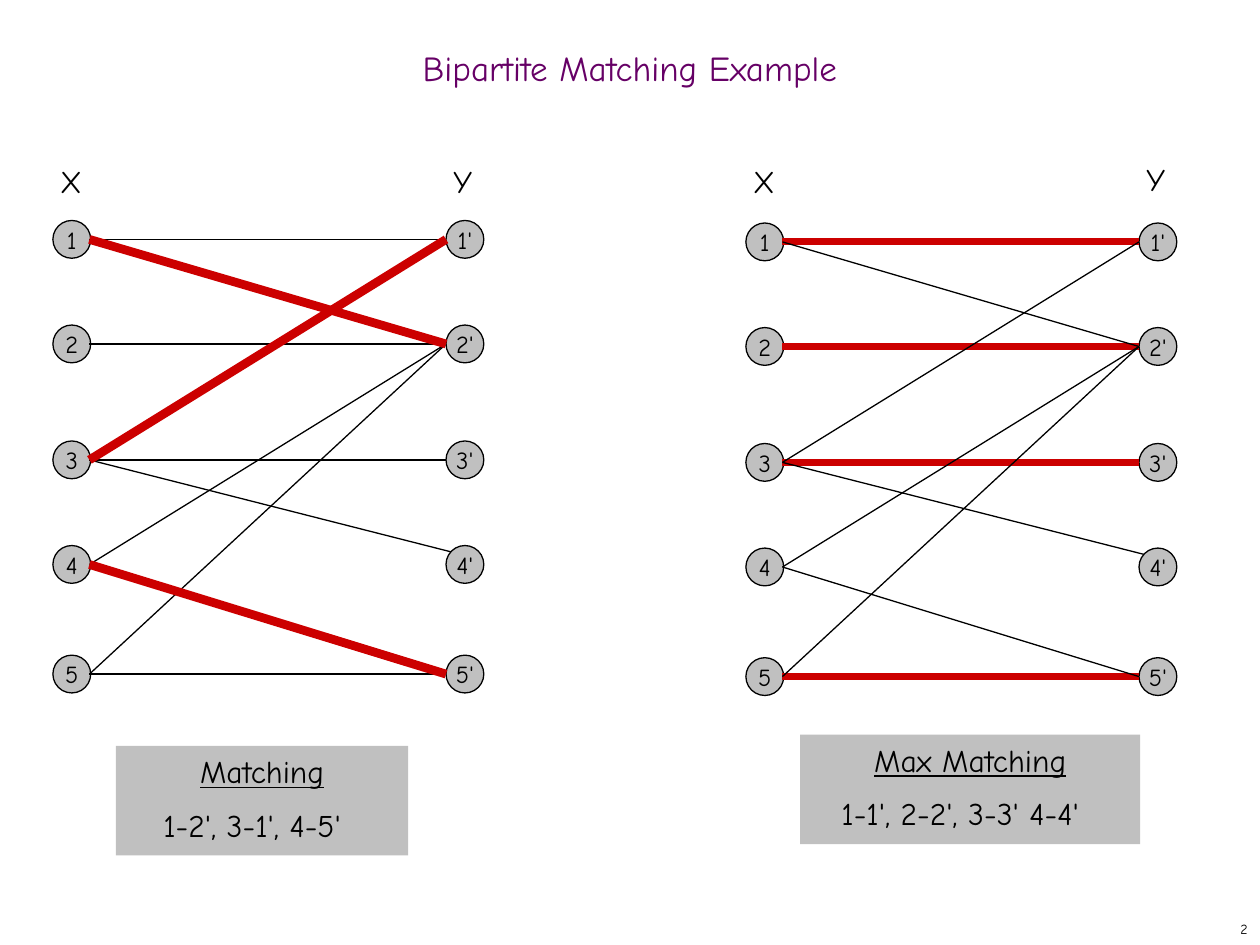
import pptx
import pptx.util
import pptx.dml.color
import pptx.enum.shapes
import pptx.enum.text
from lxml import etree

Inches, Pt = pptx.util.Inches, pptx.util.Pt
Align = pptx.enum.text.PP_ALIGN
Anchor = pptx.enum.text.MSO_ANCHOR
Kind = pptx.enum.shapes.MSO_SHAPE
NS = "{http://schemas.openxmlformats.org/drawingml/2006/main}"
BLACK, GRAY, RED, PURPLE = "000000", "C0C0C0", "CC0000", "660066"


def tint(code):
    return pptx.dml.color.RGBColor.from_string(code)


def write(shape, lines, size, color=BLACK, align=Align.CENTER, gap=False):
    frame = shape.text_frame
    frame.text = "\n".join(lines)
    frame.word_wrap = gap
    for para in frame.paragraphs:
        para.alignment = align
        font = para.runs[0].font
        font.name, font.size = "Comic Neue", Pt(size)
        font.color.rgb = tint(color)
        if gap:  # half a line of space above
            space = etree.SubElement(para._p.get_or_add_pPr(), NS + "spcBef")
            etree.SubElement(space, NS + "spcPct", val="50000")
    return frame


deck = pptx.Presentation()
deck.slide_width, deck.slide_height = Inches(10), Inches(7.5)
slide = deck.slides.add_slide(deck.slide_layouts[6])

# Title and page number
box = slide.shapes.add_textbox(Inches(0), Inches(0.33), Inches(10), Inches(0.5))
frame = write(box, ["Bipartite Matching Example"], 20, PURPLE)
frame.word_wrap = True
frame.vertical_anchor = Anchor.MIDDLE
frame.paragraphs[0].line_spacing = 0.7
box = slide.shapes.add_textbox(Inches(7.92), Inches(7.25), Inches(2.08), Inches(0.25))
write(box, ["2"], 8, align=Align.RIGHT).vertical_anchor = Anchor.MIDDLE

# Both graphs share their rows and edges
rows = [0, 0.83, 1.75, 2.58, 3.45]
edges = [(1, 1), (1, 2), (2, 2), (3, 1), (3, 3), (3, 4),
         (4, 2), (4, 5), (5, 2), (5, 5)]
node, span = 0.3, 3.12

# left, top, matched edges, their width, matched on top, top of Y label
graphs = [
    (0.42, 1.75, [(1, 2), (4, 5), (3, 1)], 5, True, 1.24),
    (5.92, 1.77, [(1, 1), (2, 2), (3, 3), (5, 5)], 4, False, 1.22),
]
for left, top, match, width, front, high in graphs:
    group = slide.shapes.add_group_shape().shapes

    # Nodes
    for col, mark in enumerate(["", "'"]):
        for num, row in enumerate(rows, 1):
            dot = group.add_shape(Kind.OVAL, Inches(left + col * span),
                                  Inches(top + row), Inches(node), Inches(node))
            dot.shadow.inherit = False
            dot.fill.solid()
            dot.fill.fore_color.rgb = tint(GRAY)
            dot.line.color.rgb = tint(BLACK)
            dot.line.width = Pt(0.75)
            write(dot, [f"{num}{mark}"], 14).vertical_anchor = Anchor.MIDDLE

    # Edges
    for edge in sorted(edges, key=lambda pair: (pair in match) == front):
        start, end = edge
        # The edge to 4' meets its circle on the upper left
        dx, dy = (0.04, -0.1) if end == 4 else (0, 0)
        mid = top + node / 2
        line = group.add_connector(
            pptx.enum.shapes.MSO_CONNECTOR.STRAIGHT,
            Inches(left + 0.29), Inches(mid + rows[start - 1]),
            Inches(left + span + dx), Inches(mid + rows[end - 1] + dy))
        line.line.color.rgb = tint(RED if edge in match else BLACK)
        line.line.width = Pt(width if edge in match else 0.75)
        etree.SubElement(line._element.spPr, NS + "effectLst")

    # Column labels
    for name, col, y in [("X", 0, 1.24), ("Y", 1, high)]:
        box = group.add_textbox(Inches(left - 0.04 + col * span), Inches(y),
                                Inches(0.67), Inches(0.4))
        write(box, [name], 18, align=Align.LEFT, gap=True)

# Captions
captions = [
    (0.92, 5.92, 2.32, "Matching", "1-2', 3-1', 4-5'"),
    (6.35, 5.83, 2.7, "Max Matching", "1-1', 2-2', 3-3' 4-4'"),
]
for left, top, width, head, pairs in captions:
    box = slide.shapes.add_shape(Kind.RECTANGLE, Inches(left), Inches(top),
                                 Inches(width), Inches(0.87))
    box.shadow.inherit = False
    box.fill.solid()
    box.fill.fore_color.rgb = tint(GRAY)
    box.line.fill.background()
    frame = write(box, [head, pairs], 18, gap=True)
    frame.vertical_anchor = Anchor.TOP
    frame.paragraphs[0].runs[0].font.underline = True
    # Right indent sets the pairs slightly left of centre
    frame.paragraphs[1]._p.get_or_add_pPr().set("marR", str(Inches(0.16)))

deck.save("out.pptx")
